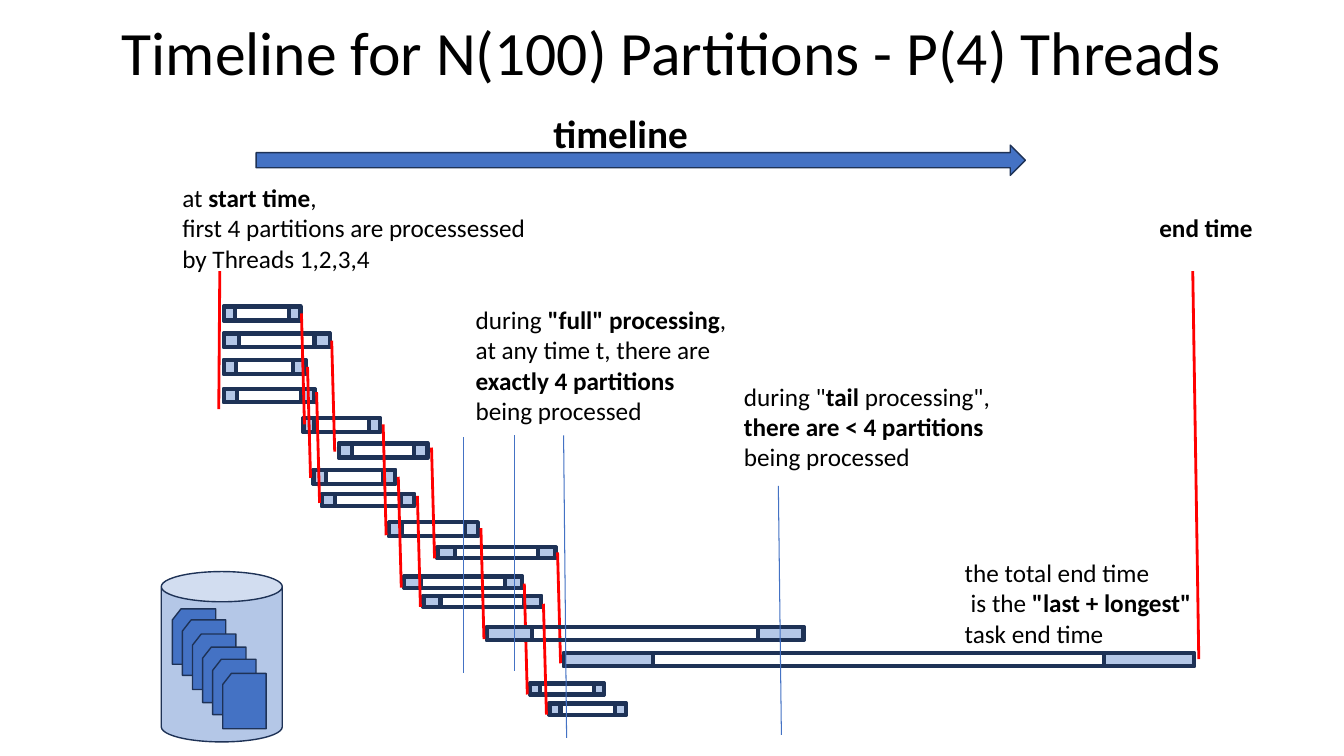
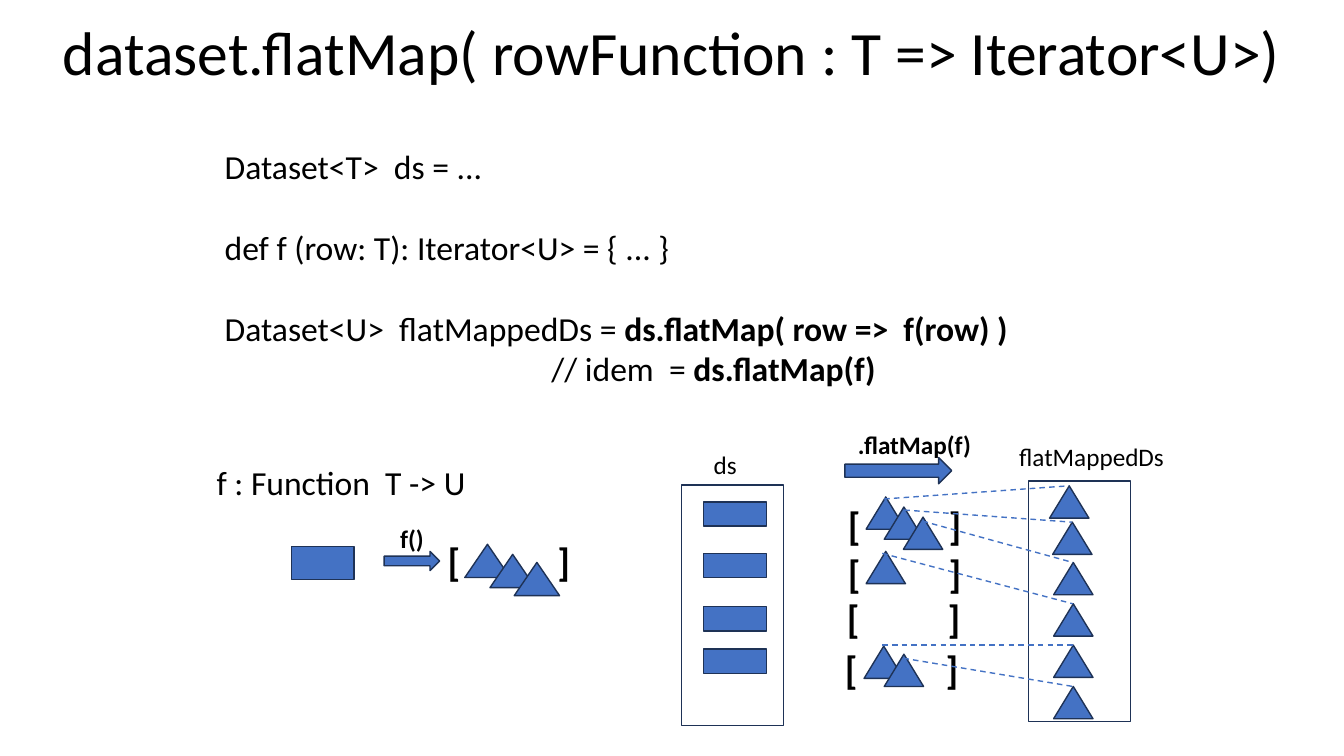
import pptx
import pptx.util
import pptx.dml.color
import pptx.enum.dml
import pptx.enum.shapes
import pptx.enum.text
import pptx.oxml.ns
import lxml.etree

SHAPE = pptx.enum.shapes.MSO_SHAPE
COLORS = {"ink": "000000", "blue": "4472C4", "pale": "B4C7E7", "navy": "1E3256", "red": "FF0000"}
EMU_PER_PX = 9144


def px(n):
    return pptx.util.Emu(n * EMU_PER_PX)


def rgb(name):
    return pptx.dml.color.RGBColor.from_string(COLORS[name])


def add_xml(parent, tag, **attrs):
    return lxml.etree.SubElement(parent, pptx.oxml.ns.qn(tag), **attrs)


class Deck:
    font = "Calibri"

    def __init__(self):
        self.prs = pptx.Presentation()
        self.prs.slide_width, self.prs.slide_height = px(1333), px(750)
        self.s = None

    def slide(self, title):
        self.s = self.prs.slides.add_slide(self.prs.slide_layouts[5])
        sp = self.s.shapes.title
        sp.left, sp.top, sp.width, sp.height = px(15), px(10), px(1303), px(90)
        tf = sp.text_frame
        tf.word_wrap = True
        tf.auto_size = pptx.enum.text.MSO_AUTO_SIZE.NONE
        tf.vertical_anchor = pptx.enum.text.MSO_ANCHOR.MIDDLE
        p = tf.paragraphs[0]
        p.alignment = pptx.enum.text.PP_ALIGN.CENTER
        p.line_spacing = 0.9
        self.runs(p, title, 44)

    def runs(self, p, text, size, bold=False):
        for i, part in enumerate(text.split("**")):
            if part:
                r = p.add_run()
                r.text = part
                r.font.name = self.font
                r.font.size = pptx.util.Pt(size)
                r.font.bold = bold or i % 2 == 1
                r.font.color.rgb = rgb("ink")

    def text(self, x, y, w, h, lines, size=18, bold=False, gaps=(), indents=(), tab=None):
        tf = self.s.shapes.add_textbox(px(x), px(y), px(w), px(h)).text_frame
        tf.word_wrap = True
        for i, line in enumerate(lines):
            p = tf.add_paragraph() if i else tf.paragraphs[0]
            if i in gaps:
                p.space_before = pptx.util.Pt(29)
            pPr = p._p.get_or_add_pPr()
            if i in indents:
                pPr.set("marL", str(px(6)))
            if tab:
                add_xml(add_xml(pPr, "a:tabLst"), "a:tab", pos=str(px(tab)), algn="l")
            self.runs(p, line, size, bold)

    def shape(self, kind, x, y, w, h, fill="blue", weight=1, parent=None):
        sp = (parent or self.s).shapes.add_shape(kind, px(x), px(y), px(w), px(h))
        sp.shadow.inherit = False
        if fill:
            sp.fill.solid()
            sp.fill.fore_color.rgb = rgb(fill)
        else:
            sp.fill.background()
        sp.line.color.rgb = rgb("navy")
        sp.line.width = pptx.util.Pt(weight)

    def line(self, x1, y1, x2, y2, color="blue", weight=0.75, dashed=False):
        c = self.s.shapes.add_connector(
            pptx.enum.shapes.MSO_CONNECTOR.STRAIGHT, px(x1), px(y1), px(x2), px(y2))
        add_xml(c._element.spPr, "a:effectLst")
        c.line.color.rgb = rgb(color)
        c.line.width = pptx.util.Pt(weight)
        if dashed:
            c.line.dash_style = pptx.enum.dml.MSO_LINE.DASH

    def task(self, x, y, w, h):
        group = self.s.shapes.add_group_shape()
        cap = round(w / 7)
        for left, width, fill in ((x, w, None), (x, cap, "pale"), (x + w - cap, cap, "pale")):
            self.shape(SHAPE.RECTANGLE, left, y, width, h, fill, 3, group)

    def link(self, x, y):
        self.line(x, y, x + 3, y + 110, "red", 2)

    def triangles(self, points, w=39, h=32):
        for x, y in points:
            self.shape(SHAPE.ISOSCELES_TRIANGLE, x, y, w, h)

    def brackets(self, x, y, tab=100):
        self.text(x, y, 145, 57, ["[\t]"], 28, True, tab=tab)


FIRST_TASKS = [(222, 304, 76, 14), (222, 386, 90, 13), (222, 331, 105, 13), (222, 357, 81, 14)]
NEXT_TASKS = [
    ((301, 415, 76, 14), (299, 311)),
    ((336, 440, 88, 14), (329, 338)),
    ((311, 466, 81, 14), (305, 364)),
    ((319, 490, 92, 12), (314, 389)),
    ((386, 518, 88, 14), (380, 421)),
    ((434, 543, 117, 11), (428, 444)),
    ((401, 572, 117, 11), (395, 473)),
    ((420, 591, 117, 11), (414, 492)),
    ((559, 648, 625, 13), (553, 548)),
    ((526, 678, 73, 11), (520, 579)),
    ((483, 622, 314, 13), (477, 524)),
    ((545, 698, 76, 11), (539, 599)),
]


def timeline_slide(d):
    d.slide("Timeline for N(100) Partitions - P(4) Threads")
    d.shape(SHAPE.RIGHT_ARROW, 254, 144, 763, 30)
    d.text(539, 104, 175, 57, ["timeline"], 28, True)
    d.shape(SHAPE.CAN, 160, 567, 120, 169, "pale")
    for i, y in enumerate((604, 615, 629, 642, 654, 668)):
        d.shape(SHAPE.FLOWCHART_CARD, 171 + 10 * i, y, 43, 55)
    for bar in FIRST_TASKS:
        d.task(*bar)
    d.text(171, 176, 390, 101, ["at **start time**,", "first 4 partitions are processessed",
                                "by Threads 1,2,3,4"])
    for bar, start in NEXT_TASKS:
        d.task(*bar)
        d.link(*start)
    d.text(462, 297, 290, 131, ['during **"full" processing**,', "at any time t, there are",
                                "**exactly 4 partitions**", "being processed"])
    for ends in ((510, 432, 510, 666), (460, 434, 460, 668), (559, 432, 562, 732), (772, 482, 775, 729)):
        d.line(*ends)
    d.text(728, 373, 290, 101, ['during "**tail **processing",', "**there are < 4 partitions**",
                                "being processed"])
    for ends in ((1183, 269, 1189, 654), (218, 269, 217, 406)):
        d.line(*ends, "red", 2)
    d.text(1140, 206, 135, 40, ["end time"], bold=True)
    d.text(947, 548, 300, 101, ["the total end time", 'is the **"last + longest"**', "task end time"],
           indents=(1,))


def flat_map_slide(d):
    d.slide("dataset.flatMap( rowFunction : T => Iterator<U>)")
    d.text(213, 140, 900, 293, [
        "Dataset<T>  ds = ...",
        "def f (row: T): Iterator<U> = { ... }",
        "Dataset<U>  flatMappedDs = **ds.flatMap( row =>  f(row) )**",
        " " * 43 + "// idem  = **ds.flatMap(f)**",
    ], 24, gaps=(1, 2))

    d.text(205, 453, 300, 50, ["f : Function  T -> U"], 24)
    d.shape(SHAPE.RECTANGLE, 289, 542, 62, 33)
    d.shape(SHAPE.RIGHT_ARROW, 381, 547, 55, 19)
    d.text(387, 514, 65, 40, ["f()"], bold=True)
    d.triangles([(461, 540), (486, 550), (510, 558)], 45, 33)
    d.brackets(434, 528, 109)

    d.text(698, 441, 65, 40, ["ds"])
    d.shape(SHAPE.RECTANGLE, 676, 481, 101, 239, None)
    for y in (498, 549, 602, 644):
        d.shape(SHAPE.RECTANGLE, 698, y, 62, 24)

    d.text(841, 421, 160, 40, [".flatMap(f)"], bold=True)
    d.shape(SHAPE.RIGHT_ARROW, 838, 454, 106, 26)
    d.text(1001, 433, 190, 40, ["flatMappedDs"])
    d.shape(SHAPE.RECTANGLE, 1020, 477, 101, 239, None)
    d.triangles([(859, 493), (877, 503), (896, 513), (859, 547), (857, 641), (877, 649)])
    results = [(1041, 482), (1044, 518), (1045, 558), (1045, 599), (1045, 640), (1045, 681)]
    d.triangles(results)
    for x, y in ((831, 492), (831, 540), (830, 585), (828, 635)):
        d.brackets(x, y)
    starts = [(877, 495), (897, 506), (915, 517), (875, 549), (875, 640), (896, 653)]
    for start, (x, y) in zip(starts, results):
        d.line(*start, x + 19, y, weight=1, dashed=True)


def main():
    d = Deck()
    timeline_slide(d)
    flat_map_slide(d)
    d.prs.save("out.pptx")


if __name__ == "__main__":
    main()
